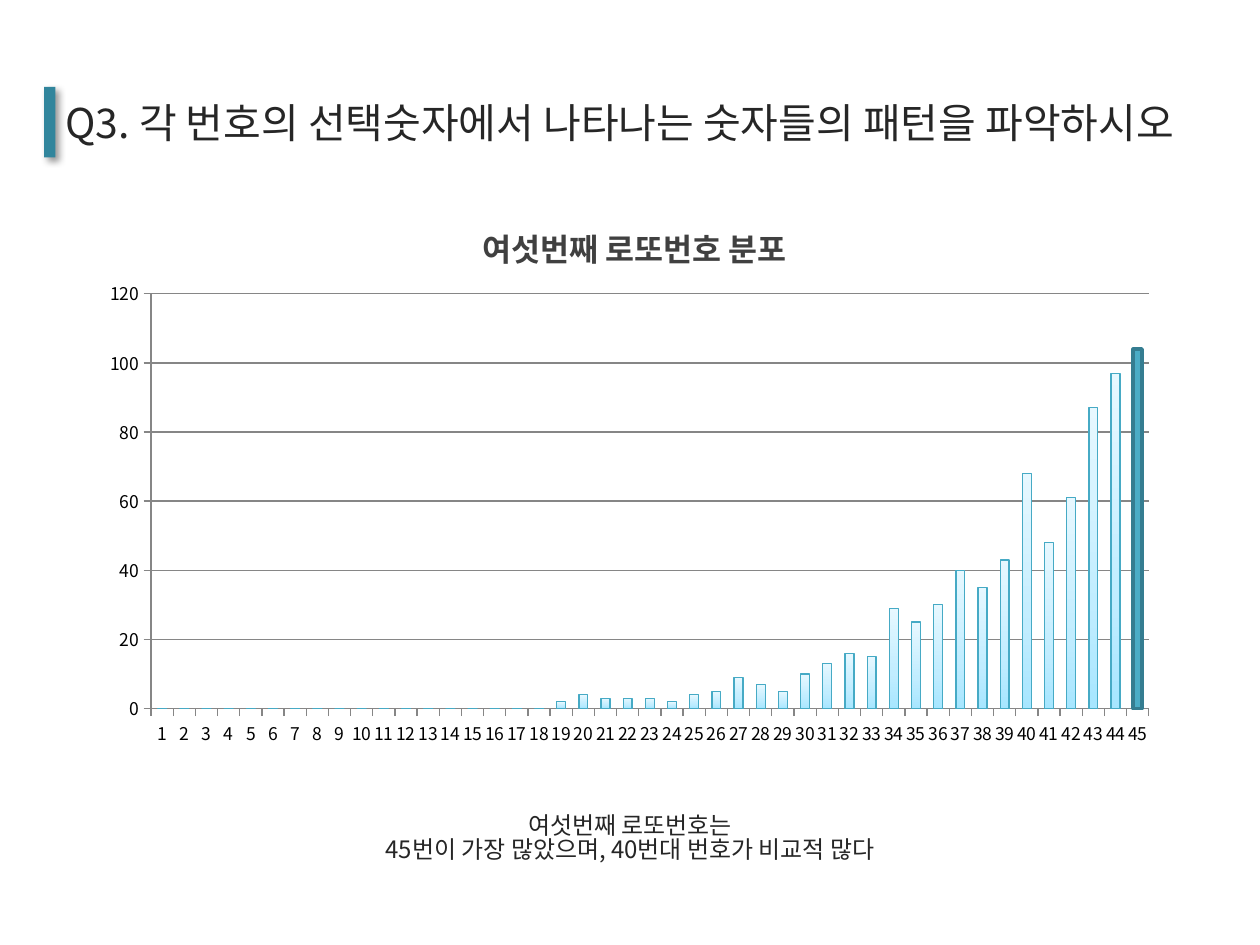
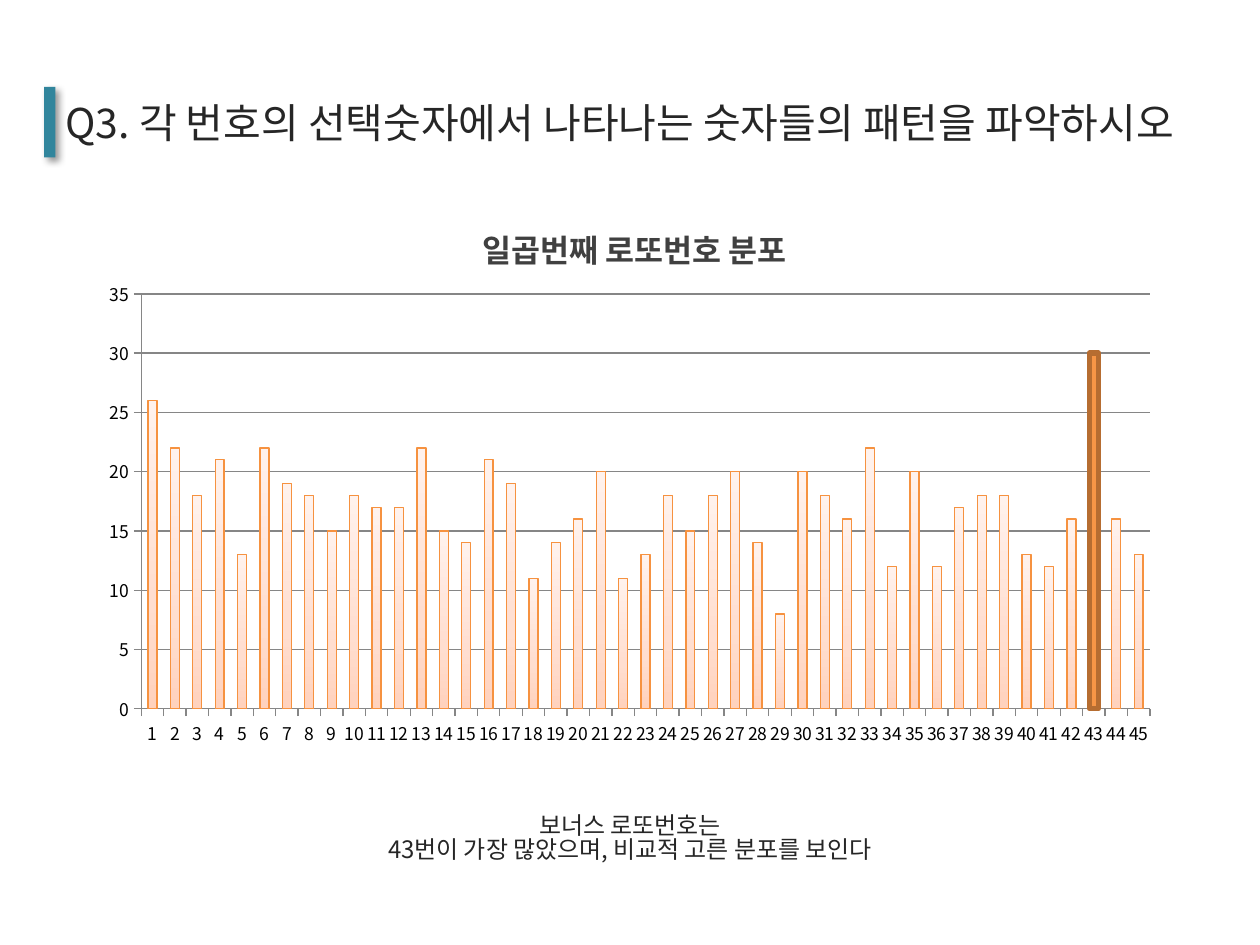
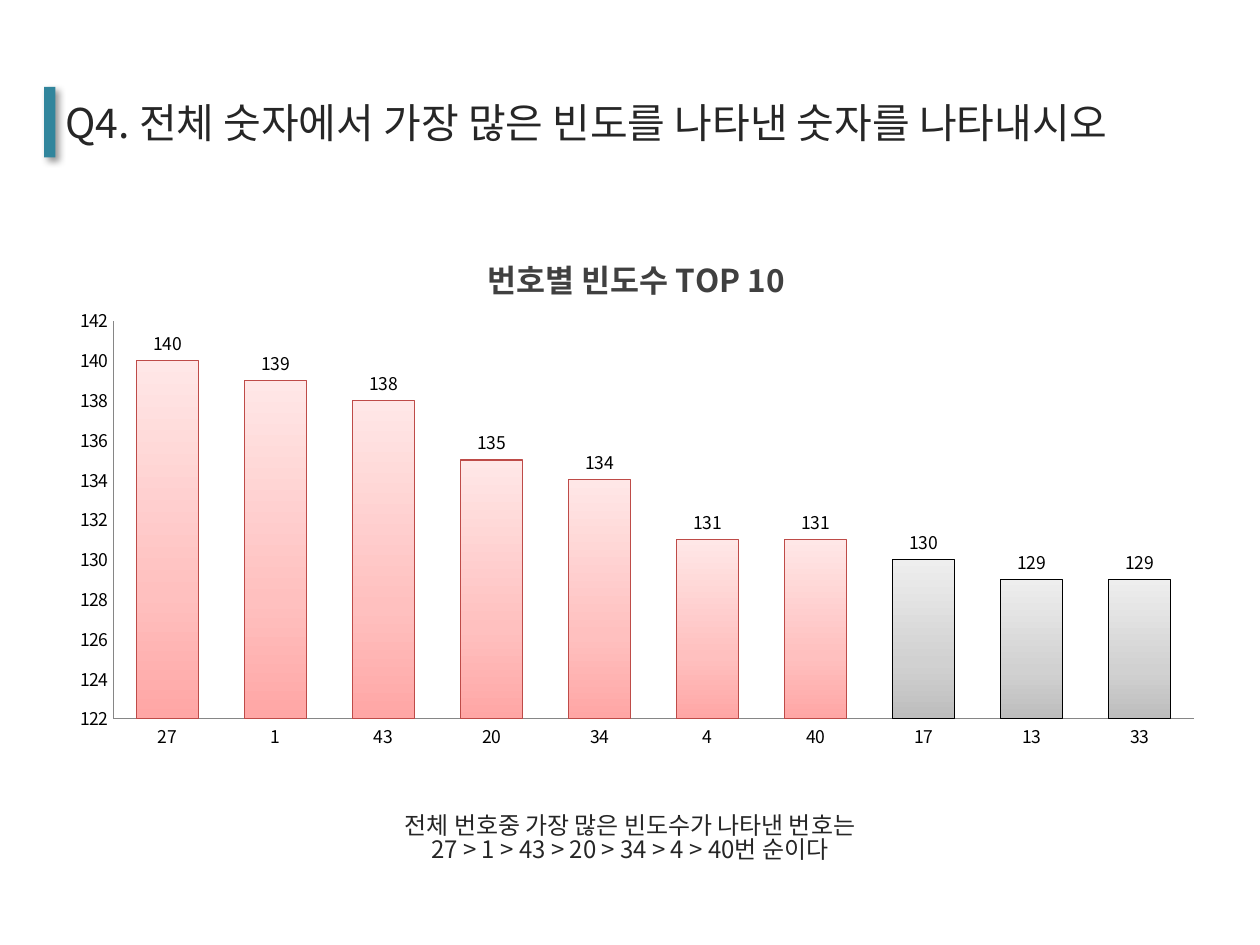
from copy import deepcopy

from lxml import etree
from pptx import Presentation
from pptx import util as u
from pptx.chart.data import CategoryChartData
from pptx.dml.color import RGBColor
from pptx.enum import chart as charts, shapes, text
from pptx.oxml import parse_xml
from pptx.oxml.ns import nsdecls, qn

FONT = "Noto Sans CJK KR"
TEXT_COLOR, TITLE_COLOR, ACCENT, AXIS_COLOR = "262626", "404040", "31859C", "868686"
GRADIENT_POSITIONS = (0, 0.35, 1)
BLUE = ("A7E6FF", "C1EDFF", "E7F8FF")
ORANGE = ("FFD2BD", "FFDED0", "FFF2ED")
GRAY = ("BDBDBD", "D1D1D1", "EEEEEE")
RED = ("FFA6A5", "FFC0BF", "FFE7E7")

PATTERN_QUESTION = "Q3. 각 번호의 선택숫자에서 나타나는 숫자들의 패턴을 파악하시오"
LOTTO_NUMBERS = range(1, 46)

# plot: left, top, width, height as shares of the chart; scale: minimum, maximum, step
SLIDES = [
    {
        "question": PATTERN_QUESTION,
        "title": "여섯번째 로또번호 분포",
        "caption": ["여섯번째 로또번호는", "45번이 가장 많았으며, 40번대 번호가 비교적 많다"],
        "box": (0.71, 1.48, 8.58, 4.53),
        "plot": (0.057, 0.188, 0.923, 0.727),
        "title_at": (0.358, 0.05),
        "categories": LOTTO_NUMBERS,
        "values": [0] * 18 + [2, 4, 3, 3, 3, 2, 4, 5, 9, 7, 5, 10, 13, 16, 15, 29, 25, 30,
                              40, 35, 43, 68, 48, 61, 87, 97, 104],
        "fill": BLUE, "line": "46AAC5", "gap": 150, "scale": (0, 120, 20),
        "grid": True, "labels": False,
        "highlight": {"points": [44], "fill": "4BACC6", "line": "357D91", "width": 2},
    },
    {
        "question": PATTERN_QUESTION,
        "title": "일곱번째 로또번호 분포",
        "caption": ["보너스 로또번호는", "43번이 가장 많았으며, 비교적 고른 분포를 보인다"],
        "box": (0.7, 1.49, 8.59, 4.53),
        "plot": (0.049, 0.186, 0.932, 0.727),
        "title_at": (0.359, 0.05),
        "categories": LOTTO_NUMBERS,
        "values": [26, 22, 18, 21, 13, 22, 19, 18, 15, 18, 17, 17, 22, 15, 14,
                   21, 19, 11, 14, 16, 20, 11, 13, 18, 15, 18, 20, 14, 8, 20,
                   18, 16, 22, 12, 20, 12, 17, 18, 18, 13, 12, 16, 30, 16, 13],
        "fill": ORANGE, "line": "F69240", "gap": 150, "scale": (0, 35, 5),
        "grid": True, "labels": False,
        "highlight": {"points": [42], "fill": "F79646", "line": "B66D31", "width": 3},
    },
    {
        "question": "Q4. 전체 숫자에서 가장 많은 빈도를 나타낸 숫자를 나타내시오",
        "title": "번호별 빈도수 TOP 10",
        "caption": ["전체 번호중 가장 많은 빈도수가 나타낸 번호는",
                    "27 > 1 > 43 > 20 > 34 > 4 > 40번 순이다"],
        "box": (0.44, 1.76, 9.2, 4.27),
        "plot": (0.05, 0.184, 0.932, 0.74),
        "title_at": (0.368, 0.045),
        "categories": [27, 1, 43, 20, 34, 4, 40, 17, 13, 33],
        "values": [140, 139, 138, 135, 134, 131, 131, 130, 129, 129],
        "fill": GRAY, "line": "000000", "gap": 75, "scale": (122, 142, 2),
        "grid": False, "labels": True,
        "highlight": {"points": range(7), "fill": RED, "line": "BE4B48", "width": 0.75},
    },
]


def rgb(value):
    """Turn a hex string into a colour."""
    return RGBColor.from_string(value)


def inches(box):
    """Turn numbers into lengths."""
    return [u.Inches(value) for value in box]


def style_font(font, size, color, bold=False):
    """Set size, colour, weight and both Latin and East Asian typefaces."""
    font.size, font.bold, font.name = u.Pt(size), bold, FONT
    font.color.rgb = rgb(color)
    latin = font._rPr.find(qn("a:latin"))
    latin.addnext(parse_xml(f'<a:ea {nsdecls("a")} typeface="{FONT}"/>'))


def style_bar(bar_format, fill, line, width):
    """Fill bars with one colour or a rising gradient, and outline them."""
    if isinstance(fill, str):
        bar_format.fill.solid()
        bar_format.fill.fore_color.rgb = rgb(fill)
    else:
        bar_format.fill.gradient()
        bar_format.fill.gradient_angle = 90
        first = bar_format.fill.gradient_stops[0]._gs
        first.addnext(deepcopy(first))
        stops = bar_format.fill.gradient_stops
        for stop, position, color in zip(stops, GRADIENT_POSITIONS, fill):
            stop.position, stop.color.rgb = position, rgb(color)
    style_line(bar_format.line, line, width)


def style_line(line, color, width=0.75):
    """Set the colour and width of a line."""
    line.color.rgb, line.width = rgb(color), u.Pt(width)


def set_layout(parent, index, **shares):
    """Place a chart part at fixed shares of the chart's size."""
    for old in parent.findall(qn("c:layout")):
        parent.remove(old)
    layout = etree.Element(qn("c:layout"))
    manual = etree.SubElement(layout, qn("c:manualLayout"))
    if "w" in shares:
        etree.SubElement(manual, qn("c:layoutTarget"), val="inner")
    for name in ("xMode", "yMode"):
        etree.SubElement(manual, qn(f"c:{name}"), val="edge")
    for name, share in shares.items():
        etree.SubElement(manual, qn(f"c:{name}"), val=str(share))
    parent.insert(index, layout)


def add_text(container, box, lines, size, alignment, left_margin=0.1, spacing=None):
    """Add a vertically centred text box with one paragraph per line."""
    frame = container.add_textbox(*inches(box)).text_frame
    frame.word_wrap = True
    frame.vertical_anchor = text.MSO_ANCHOR.MIDDLE
    frame.margin_left = u.Inches(left_margin)
    for index, line in enumerate(lines):
        paragraph = frame.add_paragraph() if index else frame.paragraphs[0]
        paragraph.alignment, paragraph.line_spacing = alignment, spacing
        run = paragraph.add_run()
        run.text = line
        style_font(run.font, size, TEXT_COLOR)


def add_heading(slide, question):
    """Add the question with the shadowed accent bar before it."""
    group = slide.shapes.add_group_shape()
    add_text(group.shapes, (0, 0.56, 10, 0.82), [question], 23.4,
             text.PP_ALIGN.LEFT, left_margin=0.52)
    bar = group.shapes.add_shape(shapes.MSO_SHAPE.RECTANGLE, *inches((0.35, 0.69, 0.09, 0.56)))
    bar.fill.solid()
    bar.fill.fore_color.rgb = rgb(ACCENT)
    bar.line.fill.background()
    bar.shadow.inherit = False
    bar._element.spPr.find(qn("a:effectLst")).append(parse_xml(
        f'<a:outerShdw {nsdecls("a")} blurRad="{u.Pt(4)}" dist="{u.Pt(3)}" dir="2700000" '
        'algn="tl" rotWithShape="0"><a:srgbClr val="000000"><a:alpha val="40000"/>'
        '</a:srgbClr></a:outerShdw>'))


def style_axes(chart, content):
    """Set scale, grid, ticks and lines of both axes."""
    tick = charts.XL_TICK_MARK.OUTSIDE if content["grid"] else charts.XL_TICK_MARK.NONE
    for axis in (chart.category_axis, chart.value_axis):
        axis.major_tick_mark, axis.minor_tick_mark = tick, charts.XL_TICK_MARK.NONE
        style_line(axis.format.line, AXIS_COLOR)
    axis = chart.value_axis
    axis.minimum_scale, axis.maximum_scale, axis.major_unit = content["scale"]
    axis.has_major_gridlines = content["grid"]
    if content["grid"]:
        style_line(axis.major_gridlines.format.line, AXIS_COLOR)


def add_column_chart(slide, content):
    """Add the column chart with its title and highlighted bars."""
    data = CategoryChartData()
    data.categories = [str(number) for number in content["categories"]]
    data.add_series("Series 1", content["values"])
    chart = slide.shapes.add_chart(charts.XL_CHART_TYPE.COLUMN_CLUSTERED,
                                   *inches(content["box"]), data).chart
    style_font(chart.font, 10, "000000")
    chart.has_legend = False
    chart.has_title = True
    run = chart.chart_title.text_frame.paragraphs[0].add_run()
    run.text = content["title"]
    style_font(run.font, 18, TITLE_COLOR, bold=True)
    set_layout(chart.chart_title._element, 1, **dict(zip("xy", content["title_at"])))
    style_axes(chart, content)

    plot = chart.plots[0]
    plot.gap_width, plot.vary_by_categories = content["gap"], False
    set_layout(plot._element.getparent(), 0, **dict(zip("xywh", content["plot"])))
    series = plot.series[0]
    series.invert_if_negative = False
    style_bar(series.format, content["fill"], content["line"], 0.75)
    highlight = content["highlight"]
    for index in highlight["points"]:
        style_bar(series.points[index].format, highlight["fill"],
                  highlight["line"], highlight["width"])
    if content["labels"]:
        plot.has_data_labels = True
        plot.data_labels.show_value = True
        plot.data_labels.position = charts.XL_LABEL_POSITION.OUTSIDE_END


def main():
    """Build and save the presentation."""
    presentation = Presentation()
    presentation.slide_width, presentation.slide_height = inches((10, 7.5))
    for content in SLIDES:
        slide = presentation.slides.add_slide(presentation.slide_layouts[6])
        add_heading(slide, content["question"])
        add_column_chart(slide, content)
        add_text(slide.shapes, (0, 6.19, 10, 0.94), content["caption"], 13.7,
                 text.PP_ALIGN.CENTER, spacing=0.84)
    presentation.save("out.pptx")


main()
